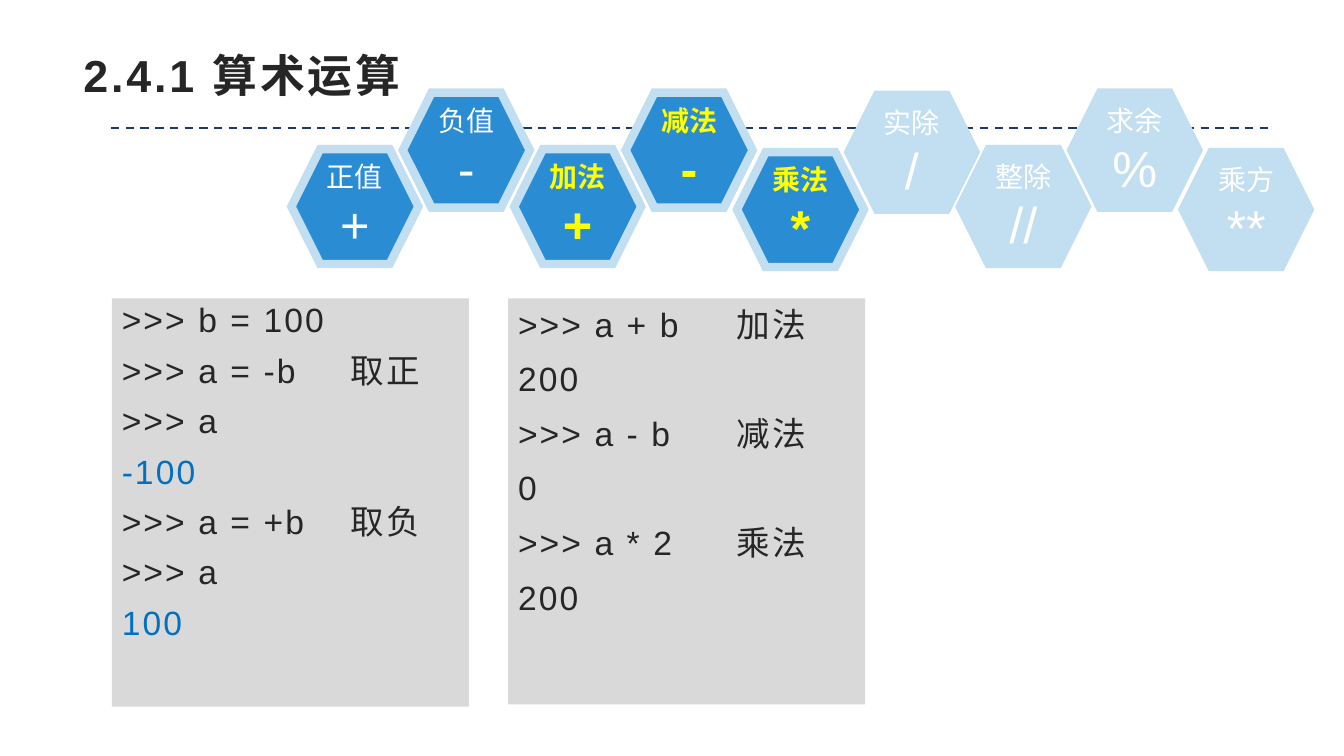
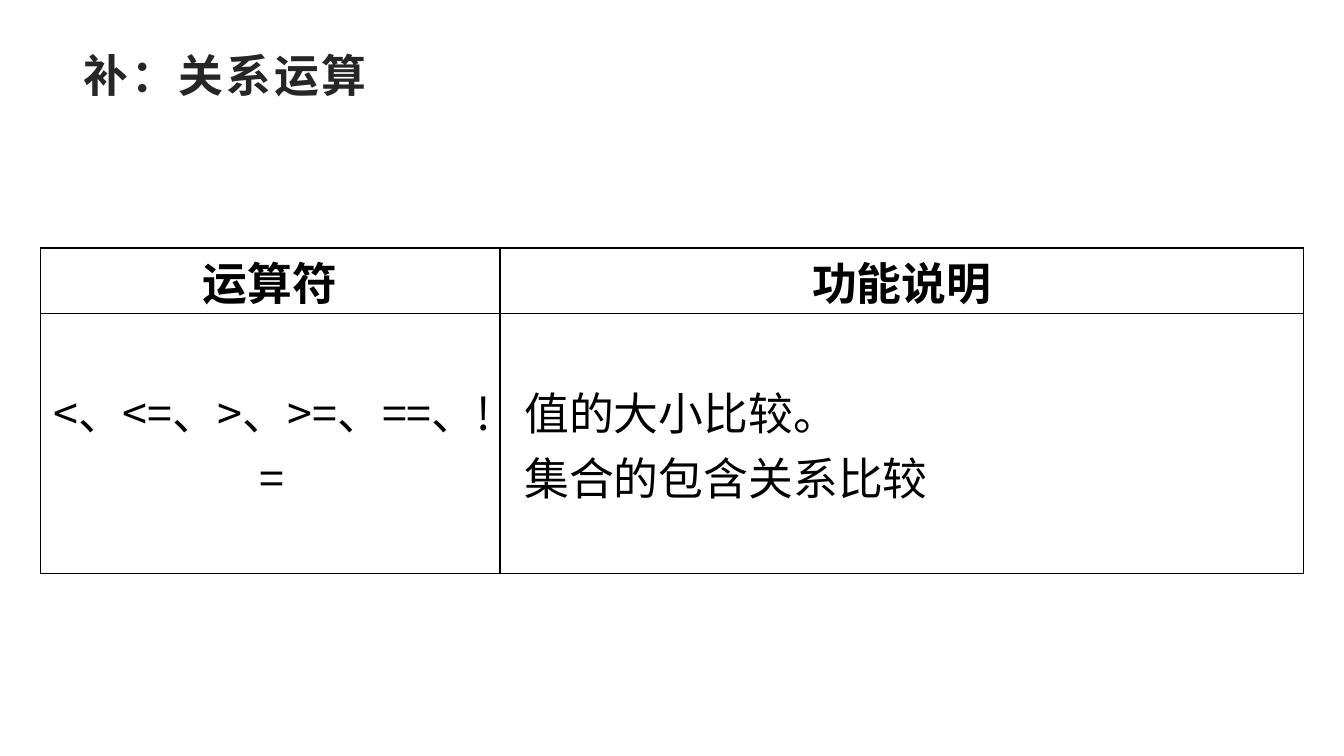
"""Builds two slides on arithmetic and relational operators."""
from lxml import etree
from pptx import Presentation
from pptx.dml.color import RGBColor
from pptx.enum.dml import MSO_LINE
from pptx.enum.shapes import MSO_CONNECTOR, MSO_SHAPE
from pptx.enum.text import MSO_ANCHOR, PP_ALIGN
from pptx.oxml.ns import qn
from pptx.util import Inches, Pt

DASH = MSO_LINE.DASH
STRAIGHT = MSO_CONNECTOR.STRAIGHT
HEXAGON = MSO_SHAPE.HEXAGON
MIDDLE = MSO_ANCHOR.MIDDLE
LEFT, CENTER = PP_ALIGN.LEFT, PP_ALIGN.CENTER

LATIN, CJK = "Arial", "Noto Sans CJK SC"
INK, BLACK, WHITE, YELLOW = "262626", "000000", "FFFFFF", "FFFF00"
BLUE, PALE, NAVY, GREY, RESULT = "2A8DD4", "C2DEF1", "203864", "D9D9D9", "0070C0"

TITLES = ["2.4.1 算术运算", "补：关系运算"]

PLAIN, ACTIVE, FADED = (BLUE, WHITE, False), (BLUE, YELLOW, True), (PALE, WHITE, False)
OPERATORS = [
    ("正值", "+", 1.48, PLAIN),
    ("负值", "-", 0.92, PLAIN),
    ("加法", "+", 1.48, ACTIVE),
    ("减法", "-", 0.92, ACTIVE),
    ("乘法", "*", 1.51, ACTIVE),
    ("实除", "/", 0.94, FADED),
    ("整除", "//", 1.48, FADED),
    ("求余", "%", 0.92, FADED),
    ("乘方", "**", 1.51, FADED),
]
HEX_LEFT, HEX_STEP, HEX_W, HEX_H = 2.89, 1.105, 1.26, 1.14

SESSIONS = [
    {"left": 1.11, "height": 4.05, "line": 26, "tab": 2.27, "lines": [
        (">>> b = 100", INK), (">>> a = -b\t取正", INK), (">>> a", INK),
        ("-100", RESULT), (">>> a = +b\t取负", INK), (">>> a", INK),
        ("100", RESULT)]},
    {"left": 5.04, "height": 4.03, "line": 29, "tab": 2.17, "lines": [
        (">>> a + b\t加法", INK), ("200", INK), (">>> a - b\t减法", INK),
        ("0", INK), (">>> a * 2\t乘法", INK), ("200", INK)]},
]

COLUMNS, ROWS = [4.56, 7.97], [0.65, 2.58]
RELATIONS = [
    [(["运算符"], CENTER, 0), (["功能说明"], CENTER, 0)],
    [(["<、<=、>、>=、==、!="], CENTER, 0.04),
     (["值的大小比较。", "集合的包含关系比较"], LEFT, 0.24)],
]


def rgb(value):
    """Turn a hex string into a colour."""
    return RGBColor.from_string(value)


def add_run(p, text, size, color, bold=False, font=LATIN, spacing=0):
    """Add one styled run to a paragraph."""
    r = p.add_run()
    r.text = text
    r.font.size, r.font.bold, r.font.name = Pt(size), bold, font
    r.font.color.rgb = rgb(color)
    props = r.font._element
    if spacing:
        props.set("spc", str(int(spacing * 100)))
    east = etree.Element(qn("a:ea"), typeface=CJK)
    props.find(qn("a:latin")).addnext(east)


def paragraphs(tf, count):
    """Return the first paragraph and enough new ones."""
    return [tf.paragraphs[0]] + [tf.add_paragraph() for _ in range(count - 1)]


def add_box(s, left, top, width, height):
    """Add a wrapping text box."""
    sp = s.shapes.add_textbox(Inches(left), Inches(top), Inches(width), Inches(height))
    sp.text_frame.word_wrap = True
    return sp


def add_slide(prs, title):
    """Add a blank slide with the shared title."""
    s = prs.slides.add_slide(prs.slide_layouts[6])
    return s, title


def add_title(s, title):
    """Add the shared title style."""
    p = add_box(s, 0.73, 0.48, 11.87, 0.78).text_frame.paragraphs[0]
    p.line_spacing = 0.9
    add_run(p, title, 32, INK, True, spacing=2)


def add_rule(s):
    """Add the dashed rule under the title."""
    c = s.shapes.add_connector(STRAIGHT, Inches(1.1), Inches(1.27), Inches(12.63), Inches(1.27))
    c.line.color.rgb = rgb(NAVY)
    c.line.width, c.line.dash_style = Pt(1.5), DASH
    etree.SubElement(c._element.spPr, qn("a:effectLst"))


def add_operator(s, index, name, symbol, top, style):
    """Add one hexagon of the operator chain."""
    fill, color, bold = style
    sp = s.shapes.add_shape(HEXAGON, Inches(HEX_LEFT + index * HEX_STEP), Inches(top),
                            Inches(HEX_W), Inches(HEX_H))
    sp.shadow.inherit = False
    sp.fill.solid()
    sp.fill.fore_color.rgb = rgb(fill)
    sp.line.color.rgb = rgb(PALE)
    sp.line.width = Pt(6)
    etree.SubElement(sp.line._get_or_add_ln(), qn("a:miter"), lim="800000")
    tf = sp.text_frame
    tf.word_wrap, tf.vertical_anchor = False, MIDDLE
    tf.margin_left = tf.margin_right = tf.margin_top = tf.margin_bottom = 0
    for p, text, size in zip(paragraphs(tf, 2), (name, symbol), (20, 36)):
        p.alignment = CENTER
        add_run(p, text, size, color, bold)


def add_session(s, session):
    """Add one grey panel of interpreter lines."""
    sp = add_box(s, session["left"], 2.96, 3.54, session["height"])
    sp.fill.solid()
    sp.fill.fore_color.rgb = rgb(GREY)
    lines = session["lines"]
    for p, (text, color) in zip(paragraphs(sp.text_frame, len(lines)), lines):
        p.line_spacing, p.space_after = Pt(session["line"]), Pt(10)
        if "\t" in text:
            tabs = etree.SubElement(p._p.get_or_add_pPr(), qn("a:tabLst"))
            etree.SubElement(tabs, qn("a:tab"), pos=str(Inches(session["tab"])), algn="l")
        add_run(p, text, 24, color, spacing=1.5)


def add_borders(cell):
    """Draw a thin black line on every side of a cell."""
    props = cell._tc.get_or_add_tcPr()
    for index, side in enumerate(("lnL", "lnR", "lnT", "lnB")):
        ln = etree.Element(qn("a:" + side), w=str(Pt(1)))
        fill = etree.SubElement(ln, qn("a:solidFill"))
        etree.SubElement(fill, qn("a:srgbClr"), val=BLACK)
        props.insert(index, ln)


def add_relations(s):
    """Add the table of relational operators."""
    table = s.shapes.add_table(len(ROWS), len(COLUMNS), Inches(0.4), Inches(2.46),
                               Inches(sum(COLUMNS)), Inches(sum(ROWS))).table
    table.first_row = table.horz_banding = False
    for column, width in zip(table.columns, COLUMNS):
        column.width = Inches(width)
    for i, height in enumerate(ROWS):
        table.rows[i].height = Inches(height)
        for j, (lines, align, margin) in enumerate(RELATIONS[i]):
            cell = table.cell(i, j)
            cell.fill.background()
            add_borders(cell)
            cell.vertical_anchor = MIDDLE
            cell.margin_left = Inches(margin)
            cell.margin_right = cell.margin_top = cell.margin_bottom = 0
            for p, text in zip(paragraphs(cell.text_frame, len(lines)), lines):
                p.alignment = align
                add_run(p, text, 32, BLACK, i == 0, CJK)


def main():
    """Build and save the slides."""
    prs = Presentation()
    prs.slide_width, prs.slide_height = Inches(13.33), Inches(7.5)
    blank = prs.slide_layouts[6]
    arithmetic, relational = [prs.slides.add_slide(blank) for _ in TITLES]
    add_rule(arithmetic)
    for s, title in zip((arithmetic, relational), TITLES):
        add_title(s, title)
    for index, operator in enumerate(OPERATORS):
        add_operator(arithmetic, index, *operator)
    for session in SESSIONS:
        add_session(arithmetic, session)
    add_relations(relational)
    prs.save("out.pptx")


if __name__ == "__main__":
    main()
